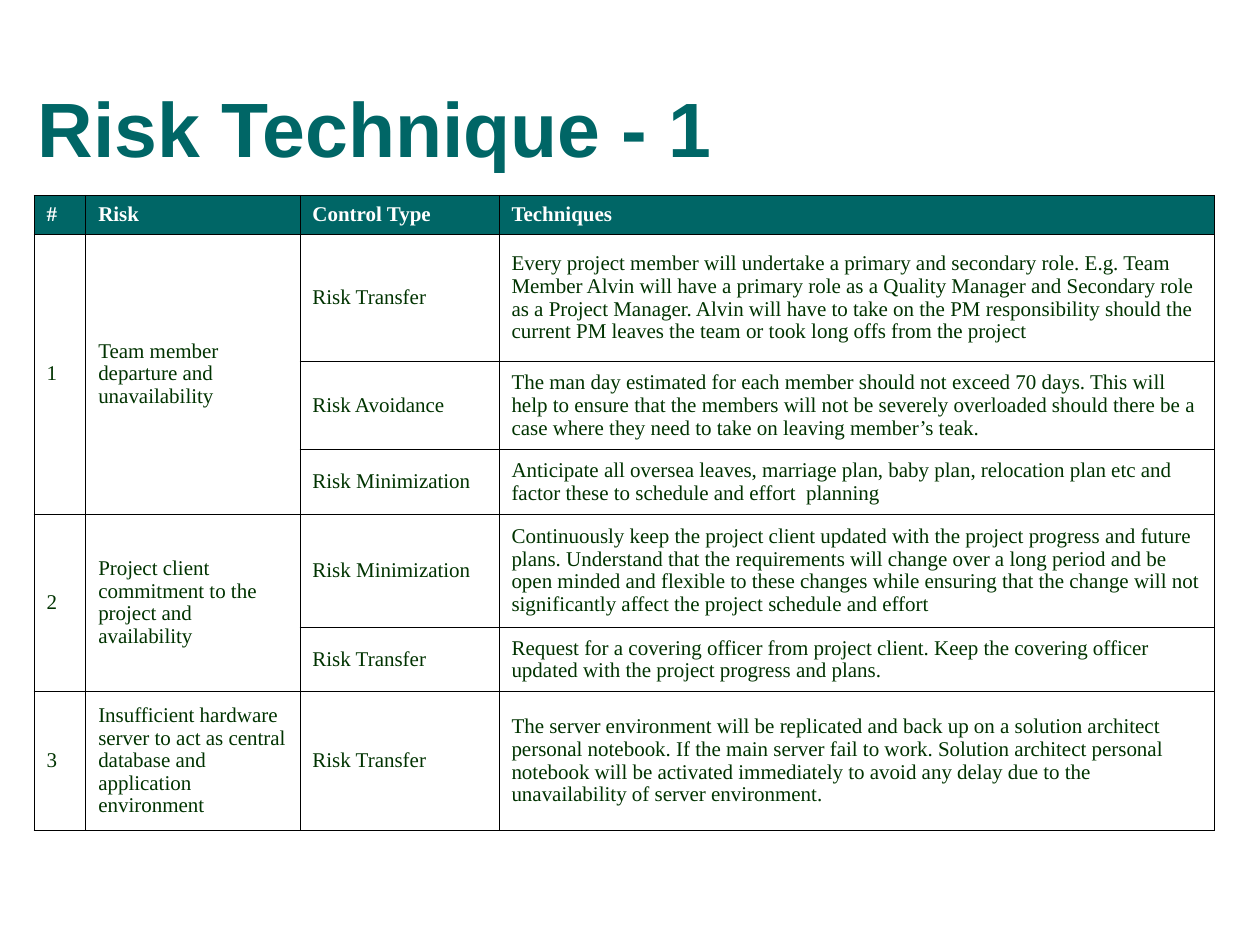
from lxml import etree
from pptx import Presentation
from pptx.dml.color import RGBColor
from pptx.enum.text import MSO_ANCHOR, PP_ALIGN
from pptx.oxml.ns import qn
from pptx.util import Inches, Pt

MIDDLE = MSO_ANCHOR.MIDDLE
LEFT = PP_ALIGN.LEFT

COLORS = {"teal": "006666", "text": "003300", "white": "FFFFFF", "border": "000000"}
TITLE_BOX = (0.2, 0.56, 8.58, 0.96)
TABLE_BOX = (0.27, 1.55, 9.37, 5.04)
COLUMNS = (0.41, 1.7, 1.58, 5.68)
ROWS = (0.31, 1.01, 0.7, 0.51, 0.9, 0.51, 1.1)
HEADERS = ("#", "Risk", "Control Type", "Techniques")
RISKS = [
    ("Team member departure and unavailability", [
        ("Risk Transfer",
         "Every project member will undertake a primary and secondary role. E.g. Team "
         "Member Alvin will have a primary role as a Quality Manager and Secondary role "
         "as a Project Manager. Alvin will have to take on the PM responsibility should "
         "the current PM leaves the team or took long offs from the project"),
        ("Risk Avoidance",
         "The man day estimated for each member should not exceed 70 days. This will "
         "help to ensure that the members will not be severely overloaded should there "
         "be a case where they need to take on leaving member’s teak."),
        ("Risk Minimization",
         "Anticipate all oversea leaves, marriage plan, baby plan, relocation plan etc "
         "and factor these to schedule and effort  planning"),
    ]),
    ("Project client commitment to the project and availability", [
        ("Risk Minimization",
         "Continuously keep the project client updated with the project progress and "
         "future plans. Understand that the requirements will change over a long period "
         "and be open minded and flexible to these changes while ensuring that the "
         "change will not significantly affect the project schedule and effort"),
        ("Risk Transfer",
         "Request for a covering officer from project client. Keep the covering officer "
         "updated with the project progress and plans."),
    ]),
    ("Insufficient hardware server to act as central database and application environment", [
        ("Risk Transfer",
         "The server environment will be replicated and back up on a solution architect "
         "personal notebook. If the main server fail to work. Solution architect personal "
         "notebook will be activated immediately to avoid any delay due to the "
         "unavailability of server environment."),
    ]),
]


def rgb(name):
    """Return the named palette colour."""
    return RGBColor.from_string(COLORS[name])


def set_text(tf, text, font, size, color, bold):
    """Write one left-aligned paragraph and format its run."""
    tf.text = text
    p = tf.paragraphs[0]
    p.alignment = LEFT
    p.line_spacing = 0.97
    f = p.runs[0].font
    f.name, f.size, f.bold = font, Pt(size), bold
    f.color.rgb = rgb(color)


def set_borders(cell):
    """Draw a thin line on all four sides of a cell."""
    tc_pr = cell._tc.get_or_add_tcPr()
    for i, side in enumerate(("a:lnL", "a:lnR", "a:lnT", "a:lnB")):
        ln = etree.Element(qn(side), w=str(Pt(0.45)))
        fill = etree.SubElement(ln, qn("a:solidFill"))
        etree.SubElement(fill, qn("a:srgbClr"), val=COLORS["border"])
        tc_pr.insert(i, ln)


def fill_cell(cell, text, header=False):
    """Write a header or body cell."""
    cell.vertical_anchor = MIDDLE
    set_text(cell.text_frame, text, "Times New Roman", 12,
             "white" if header else "text", header)
    if header:
        cell.fill.solid()
        cell.fill.fore_color.rgb = rgb("teal")


def add_title(slide, box, text):
    """Place and format the title placeholder."""
    sp = slide.shapes.title
    sp.left, sp.top, sp.width, sp.height = map(Inches, box)
    sp.text_frame.vertical_anchor = MIDDLE
    set_text(sp.text_frame, text, "Arial", 44, "teal", True)


def add_risk_table(slide, box, risks):
    """Build the risk table, merging number and risk over their controls."""
    table = slide.shapes.add_table(len(ROWS), len(COLUMNS), *map(Inches, box)).table
    table.horz_banding = table.first_row = False
    for column, width in zip(table.columns, COLUMNS):
        column.width = Inches(width)
    for row, height in zip(table.rows, ROWS):
        row.height = Inches(height)
    for cell in table.iter_cells():
        cell.fill.background()
        set_borders(cell)
    for col, text in enumerate(HEADERS):
        fill_cell(table.cell(0, col), text, header=True)
    top = 1
    for number, (risk, controls) in enumerate(risks, 1):
        for col, text in enumerate((str(number), risk)):
            cell = table.cell(top, col)
            if len(controls) > 1:
                cell.merge(table.cell(top + len(controls) - 1, col))
            fill_cell(cell, text)
        for row, control in enumerate(controls, top):
            for col, text in enumerate(control, 2):
                fill_cell(table.cell(row, col), text)
        top += len(controls)


def main():
    """Build and save the presentation."""
    prs = Presentation()
    prs.slide_width, prs.slide_height = Inches(10), Inches(7.5)
    slide = prs.slides.add_slide(prs.slide_layouts[5])
    add_title(slide, TITLE_BOX, "Risk Technique - 1")
    add_risk_table(slide, TABLE_BOX, RISKS)
    prs.save("out.pptx")


if __name__ == "__main__":
    main()
